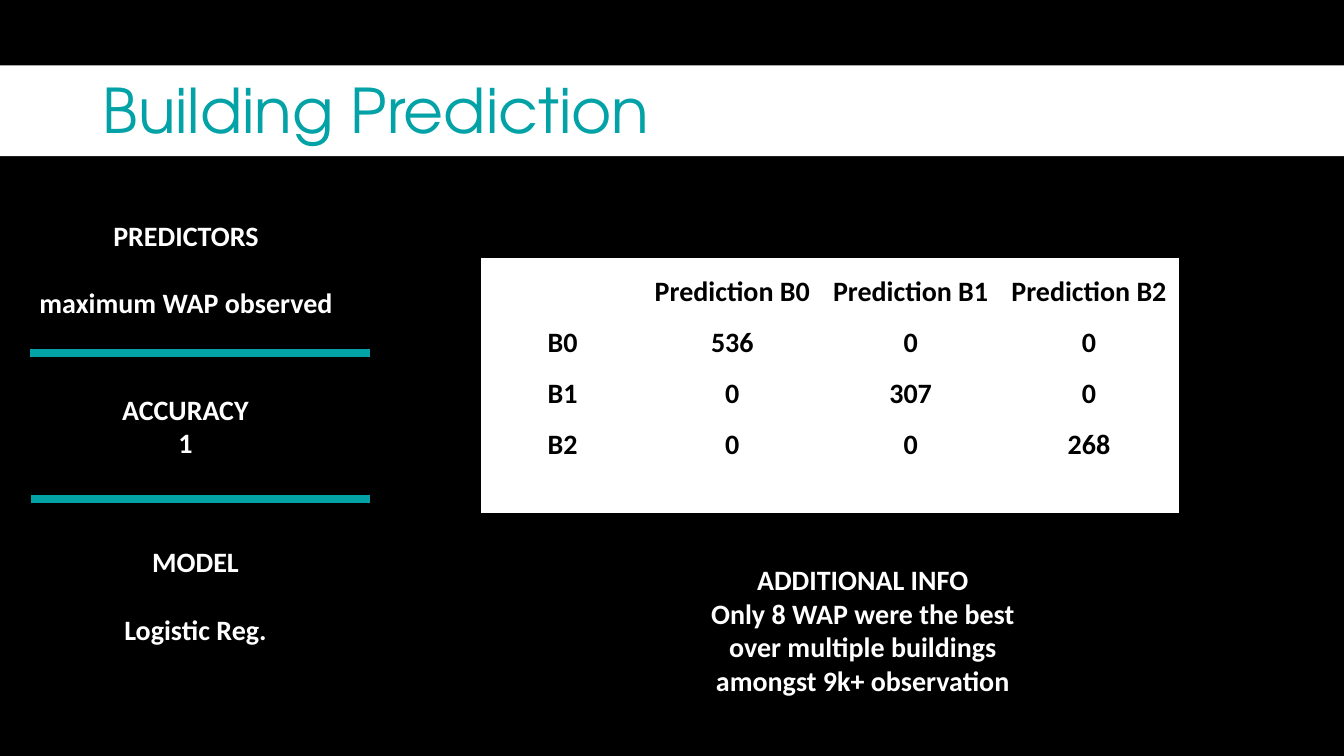
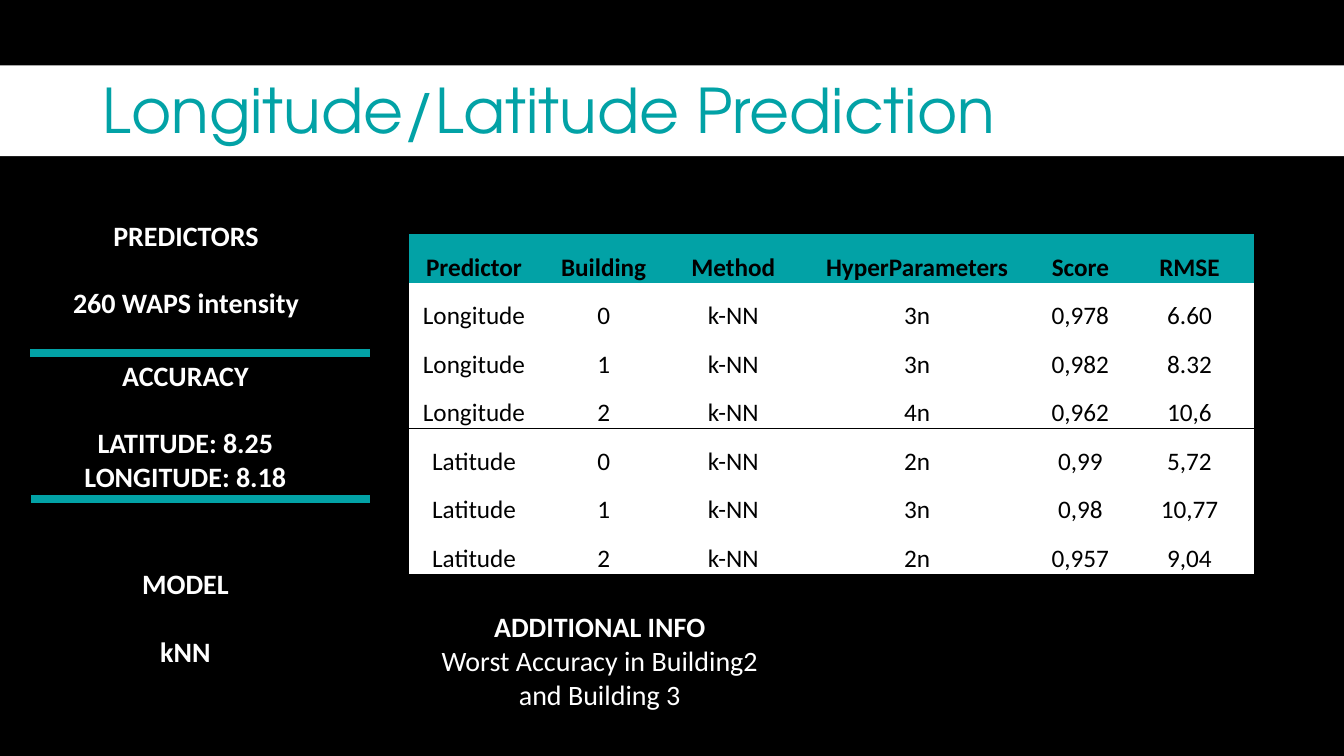
"""Build two slides of building and position prediction results."""
from lxml.etree import SubElement as Sub
from pptx import Presentation
from pptx.dml.color import RGBColor as RGB
from pptx.enum.shapes import MSO_CONNECTOR as LINK, MSO_SHAPE as FORM
from pptx.enum.text import MSO_ANCHOR as ANCHOR, PP_ALIGN as ALIGN
from pptx.oxml import parse_xml
from pptx.oxml.ns import nsdecls, qn
from pptx.util import Pt

TEAL, WHITE, BLACK = "02A2A6", "FFFFFF", "000000"
WIDE, HIGH = 960, 540
BAND = (0, 46.8, WIDE, 64.8)
TITLE = (66.2, 28.8, 828, 104.4)
RULES = [(21.6, 264.2, 252), (22, 264.6, 356.4)]
GAP = 24
PLAIN = "{2D5ABB26-0587-4C30-8999-92F81FD0307C}"

PREDICT = (-26.6, 133.2, 319, 118)
ACCURATE = (42.5, 252, 180, 104.4)

SLIDES = [
    {
        "title": "Building Prediction",
        "notes": [
            {"box": PREDICT, "text": ["PREDICTORS", "maximum WAP observed"], "gap": GAP},
            {"box": ACCURATE, "text": ["ACCURACY", "1"]},
            {"box": (49.7, 373, 180, 104.4), "text": ["MODEL", "Logistic Reg."], "gap": GAP},
            {"box": (480.2, 388.8, 272.2, 122.4),
             "text": ["ADDITIONAL INFO",
                      "Only 8 WAP were the best over multiple buildings amongst 9k+ observation"]},
        ],
        "tables": [
            {
                "spot": (344.2, 184.7), "cols": [115.2] + [127.4] * 3, "tall": 36.4,
                "size": 20, "head": WHITE, "bold": True, "grid": WHITE,
                "rows": [
                    ["", "Prediction B0", "Prediction B1", "Prediction B2"],
                    ["B0", "536", "0", "0"],
                    ["B1", "0", "307", "0"],
                    ["B2", "0", "0", "268"],
                    [""] * 4,
                ],
            },
            {"spot": (346.3, 358.6), "cols": [508.3], "tall": 13.7, "rows": [[""]]},
        ],
    },
    {
        "title": "Longitude/Latitude Prediction",
        "notes": [
            {"box": PREDICT, "text": ["PREDICTORS", "260 WAPS intensity"], "gap": GAP},
            {"box": ACCURATE, "text": ["ACCURACY", "LATITUDE: 8.25", "LONGITUDE: 8.18"], "gap": GAP},
            {"box": (42.5, 388.8, 180, 104.4), "text": ["MODEL", "kNN"], "gap": GAP},
            {"box": (292.3, 410.4, 272.2, 122.4),
             "text": ["ADDITIONAL INFO", "Worst Accuracy in Building2 and Building 3"],
             "rest": False},
        ],
        "tables": [
            {
                "spot": (292.3, 167.4), "cols": [92.6, 92.6, 92.6, 170, 63.3, 92.6],
                "tall": 34.68, "size": 18, "head": TEAL, "split": 3,
                "rows": [
                    ["Predictor", "Building", "Method", "HyperParameters", "Score", "RMSE"],
                    ["Longitude", "0", "k-NN", "3n", "0,978", "6.60"],
                    ["Longitude", "1", "k-NN", "3n", "0,982", "8.32"],
                    ["Longitude", "2", "k-NN", "4n", "0,962", "10,6"],
                    ["Latitude", "0", "k-NN", "2n", "0,99", "5,72"],
                    ["Latitude", "1", "k-NN", "3n", "0,98", "10,77"],
                    ["Latitude", "2", "k-NN", "2n", "0,957", "9,04"],
                ],
            },
        ],
    },
]


def paint(fill, hue):
    fill.solid()
    fill.fore_color.rgb = RGB.from_string(hue)


def place(box):
    return [Pt(side) for side in box]


def write(frame, lines, size=20, hue=WHITE, font="Calibri", bold=True, rest=True,
          align=ALIGN.CENTER, gap=0, lead=None):
    for num, line in enumerate(lines):
        para = frame.add_paragraph() if num else frame.paragraphs[0]
        para.alignment, para.line_spacing = align, lead
        para.space_before = Pt(gap if num == 1 else 0)
        run = para.add_run()
        run.text = line
        run.font.name, run.font.size = font, Pt(size)
        run.font.bold = bold and (rest or num == 0)
        run.font.color.rgb = RGB.from_string(hue)


def edge(cell, sides, hue):
    props = cell._tc.get_or_add_tcPr()
    drawn = f'<a:solidFill><a:srgbClr val="{hue}"/></a:solidFill>'
    for num, side in enumerate("LRTB"):
        ink = drawn if side in sides else "<a:noFill/>"
        props.insert(num, parse_xml(
            f'<a:ln{side} {nsdecls("a")} w="12700">{ink}</a:ln{side}>'))


def add_band(slide):
    band = slide.shapes.add_shape(FORM.RECTANGLE, *place(BAND))
    band.shadow.inherit = False
    paint(band.fill, WHITE)
    band.line.fill.background()
    slide.shapes._spTree.insert(2, band._element)


def add_note(slide, box, text, **style):
    note = slide.shapes.add_shape(FORM.ROUNDED_RECTANGLE, *place(box))
    note.shadow.inherit = False
    note.fill.background()
    note.line.fill.background()
    note.text_frame.vertical_anchor = ANCHOR.MIDDLE
    write(note.text_frame, text, **style)


def add_rule(slide, left, right, top):
    rule = slide.shapes.add_connector(LINK.STRAIGHT, *place((left, top, right, top)))
    rule.line.width = Pt(6)
    paint(rule.line.fill, TEAL)
    Sub(rule._element.spPr, qn("a:effectLst"))


def add_grid(slide, spot, cols, tall, rows, size=18, head=None, bold=False,
             grid=None, split=None):
    box = (*spot, sum(cols), tall * len(rows))
    table = slide.shapes.add_table(len(rows), len(cols), *place(box)).table
    table.first_row = table.horz_banding = False
    table._tbl.tblPr.find(qn("a:tableStyleId")).text = PLAIN
    sides = {split: "B", split + 1: "T"} if split else {}
    for col, wide in zip(table.columns, cols):
        col.width = Pt(wide)
    for r, row in enumerate(rows):
        table.rows[r].height = Pt(tall)
        for c, text in enumerate(row):
            cell = table.cell(r, c)
            if head:
                paint(cell.fill, WHITE if r else head)
            if text:
                cell.vertical_anchor = ANCHOR.BOTTOM
                cell.margin_left = cell.margin_right = cell.margin_top = Pt(0.75)
                cell.margin_bottom = 0
                write(cell.text_frame, [text], size=size, hue=BLACK, bold=bold or r == 0)
            if grid:
                edge(cell, "LRTB" if r < len(rows) - 1 else "LRT", grid)
            else:
                edge(cell, sides.get(r, ""), BLACK)


def main():
    deck = Presentation()
    deck.slide_width, deck.slide_height = Pt(WIDE), Pt(HIGH)
    paint(deck.slide_master.background.fill, BLACK)
    base = deck.slide_layouts[5]
    head = base.placeholders[0]
    head.left, head.top, head.width, head.height = place(TITLE)
    for page in SLIDES:
        slide = deck.slides.add_slide(base)
        add_band(slide)
        write(slide.shapes.title.text_frame, [page["title"]], size=44, hue=TEAL,
              font="TeX Gyre Adventor", bold=False, align=ALIGN.LEFT, lead=0.9)
        for note in page["notes"]:
            add_note(slide, **note)
        for table in page["tables"]:
            add_grid(slide, **table)
        for rule in RULES:
            add_rule(slide, *rule)
    deck.save("out.pptx")


if __name__ == "__main__":
    main()
